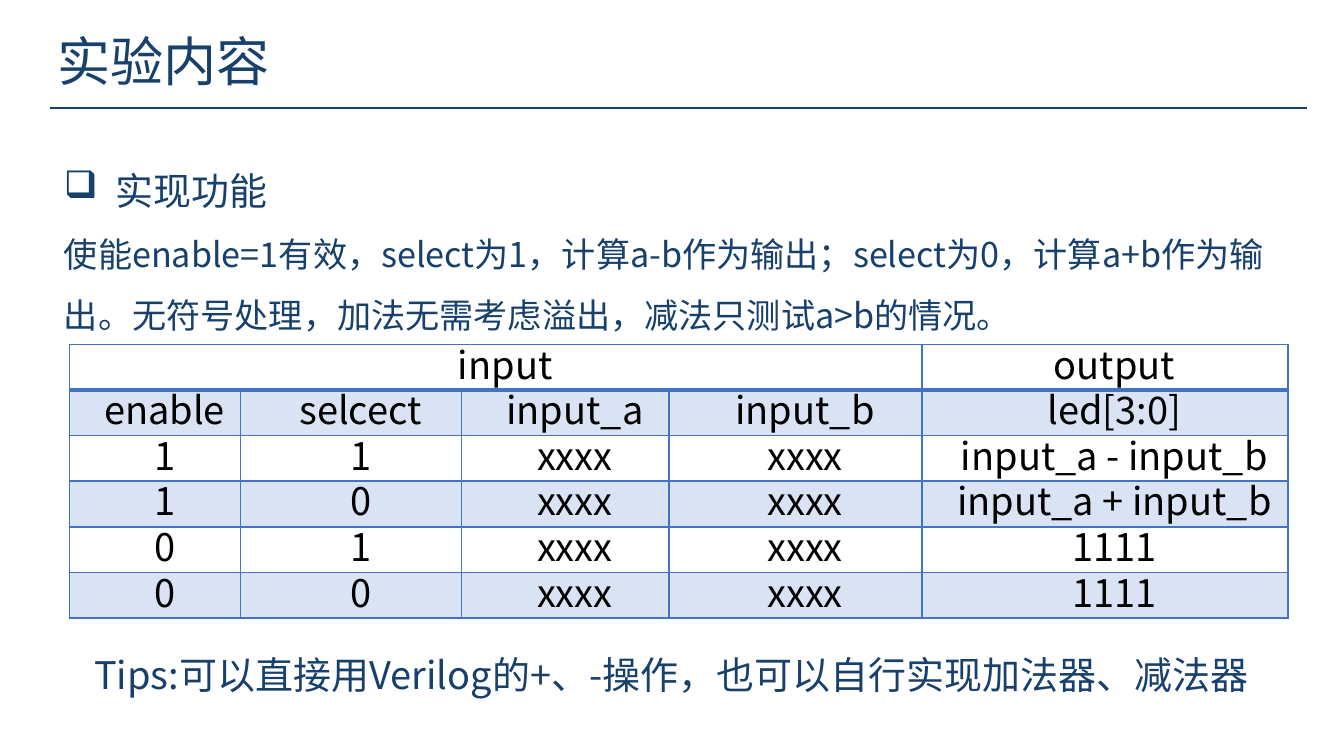
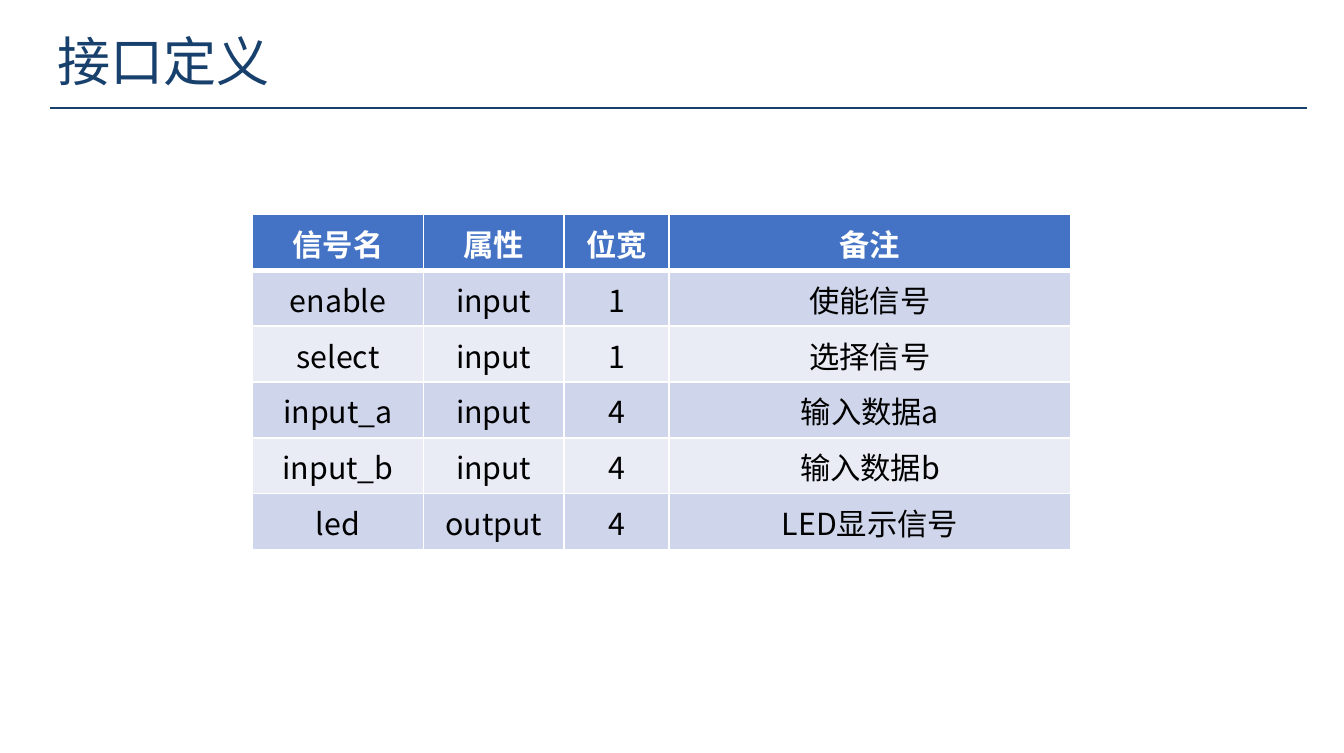
"""Build two slides on a Verilog adder-subtractor exercise: function and interface."""
from dataclasses import dataclass

from lxml.etree import SubElement
from pptx import Presentation
from pptx.dml.color import RGBColor
from pptx.enum.shapes import MSO_CONNECTOR
from pptx.enum.text import MSO_ANCHOR, PP_ALIGN
from pptx.oxml.ns import qn
from pptx.util import Inches, Pt


@dataclass(frozen=True)
class Theme:
    font: str = "Noto Sans CJK SC"
    navy: str = "17406D"
    blue: str = "4472C4"
    pale_blue: str = "DAE3F3"
    band_dark: str = "CFD5EA"
    band_light: str = "E9EBF5"
    white: str = "FFFFFF"
    black: str = "000000"
    title_size: int = 28
    heading_size: int = 20
    body_size: int = 18
    interface_size: int = 16


THEME = Theme()
SLIDE_SIZE = (9.84, 5.51)
TITLE_BOX = (0.32, 0.16, 2.32, 0.57)
RULE = (0.37, 0.79, 9.57, 0.79)

FUNCTION_TITLE = "实验内容"
FUNCTION_HEADING = "实现功能"
FUNCTION_TEXT = (
    "使能enable=1有效，select为1，计算a-b作为输出；select为0，计算a+b作为输出。"
    "无符号处理，加法无需考虑溢出，减法只测试a>b的情况。"
)
TIPS = "Tips:可以直接用Verilog的+、-操作，也可以自行实现加法器、减法器"
TRUTH_ROWS = [
    ("input", "", "", "", "output"),
    ("enable", "selcect", "input_a", "input_b", "led[3:0]"),
    ("1", "1", "xxxx", "xxxx", "input_a - input_b"),
    ("1", "0", "xxxx", "xxxx", "input_a + input_b"),
    ("0", "1", "xxxx", "xxxx", "1111"),
    ("0", "0", "xxxx", "xxxx", "1111"),
]
TRUTH_STYLE = dict(
    size=THEME.heading_size, border=THEME.blue, header_weight=2,
    header_fill=None, header_color=THEME.black, bands=(THEME.pale_blue, None),
    margins=(0.07, 0), indent=0.14, line_spacing=Pt(24),
)

INTERFACE_TITLE = "接口定义"
INTERFACE_ROWS = [
    ("信号名", "属性", "位宽", "备注"),
    ("enable", "input", "1", "使能信号"),
    ("select", "input", "1", "选择信号"),
    ("input_a", "input", "4", "输入数据a"),
    ("input_b", "input", "4", "输入数据b"),
    ("led", "output", "4", "LED显示信号"),
]
INTERFACE_STYLE = dict(
    size=THEME.interface_size, border=THEME.white, header_weight=3,
    header_fill=THEME.blue, header_color=THEME.white, header_bold=True,
    bands=(THEME.band_dark, THEME.band_light),
)


def style_paragraph(paragraph, size, color=THEME.navy, bold=False, spacing=None):
    font = paragraph.font
    font.name, font.size, font.bold = THEME.font, Pt(size), bold
    font.color.rgb = RGBColor.from_string(color)
    properties = paragraph._p.get_or_add_pPr()
    SubElement(properties.find(qn("a:defRPr")), qn("a:ea"), typeface=THEME.font)
    if spacing:
        paragraph.line_spacing = spacing


def add_text(slide, box, lines):
    shape = slide.shapes.add_textbox(*map(Inches, box))
    frame = shape.text_frame
    frame.word_wrap = True
    frame.text = "\n".join(text for text, _, _ in lines)
    for paragraph, (_, size, spacing) in zip(frame.paragraphs, lines):
        style_paragraph(paragraph, size, spacing=spacing)
    return frame


def add_bullet(paragraph, character, indent):
    properties = paragraph._p.get_or_add_pPr()
    properties.set("marL", str(Inches(indent)))
    properties.set("indent", str(-Inches(indent)))
    bullet = SubElement(properties, qn("a:buChar"), char=character)
    properties.find(qn("a:defRPr")).addprevious(bullet)


def add_titled_slide(presentation, title):
    slide = presentation.slides.add_slide(presentation.slide_layouts[6])
    rule = slide.shapes.add_connector(MSO_CONNECTOR.STRAIGHT, *map(Inches, RULE))
    rule.line.color.rgb = RGBColor.from_string(THEME.navy)
    rule.line.width = Pt(1)
    SubElement(rule._element.spPr, qn("a:effectLst"))
    add_text(slide, TITLE_BOX, [(title, THEME.title_size, None)])
    return slide


def set_borders(cell, color, top, bottom):
    properties = cell._tc.get_or_add_tcPr()
    for side, weight in (("L", 1), ("R", 1), ("T", top), ("B", bottom)):
        line = SubElement(properties, qn(f"a:ln{side}"), w=str(Pt(weight)))
        SubElement(SubElement(line, qn("a:solidFill")), qn("a:srgbClr"), val=color)


def fill_cell(cell, color):
    if color:
        cell.fill.solid()
        cell.fill.fore_color.rgb = RGBColor.from_string(color)
    else:
        cell.fill.background()


def add_grid(slide, left, top, height, columns, rows, size, border, header_weight,
             header_fill, header_color, bands, header_bold=False,
             margins=(0.1, 0.05), indent=0, line_spacing=None):
    box = map(Inches, (left, top, sum(columns), height))
    table = slide.shapes.add_table(len(rows), len(columns), *box).table
    table.first_row = table.horz_banding = False
    for column, width in zip(table.columns, columns):
        column.width = Inches(width)
    for row_index, texts in enumerate(rows):
        header = row_index == 0
        table.rows[row_index].height = Inches(height / len(rows))
        for column_index, text in enumerate(texts):
            cell = table.cell(row_index, column_index)
            cell.text = text
            cell.vertical_anchor = MSO_ANCHOR.MIDDLE
            cell.margin_left = cell.margin_right = Inches(margins[0])
            cell.margin_top = cell.margin_bottom = Inches(margins[1])
            paragraph = cell.text_frame.paragraphs[0]
            paragraph.alignment = PP_ALIGN.CENTER
            style_paragraph(paragraph, size, header_color if header else THEME.black,
                            header and header_bold, line_spacing)
            paragraph._p.get_or_add_pPr().set("indent", str(Inches(indent)))
            set_borders(cell, border, header_weight if row_index == 1 else 1,
                        header_weight if header else 1)
            fill_cell(cell, header_fill if header else bands[(row_index - 1) % 2])
    return table


def build_function_slide(presentation):
    slide = add_titled_slide(presentation, FUNCTION_TITLE)
    table = add_grid(slide, 0.51, 2.52, 2, (1.25, 1.62, 1.52, 1.85, 2.68),
                     TRUTH_ROWS, **TRUTH_STYLE)
    table.cell(0, 0).merge(table.cell(0, 3))
    add_text(slide, (0.59, 4.65, 9.25, 0.45), [(TIPS, THEME.heading_size, 1.2)])
    body = add_text(slide, (0.37, 0.84, 9.19, 1.68), [
        (FUNCTION_HEADING, THEME.heading_size, 2.0),
        (FUNCTION_TEXT, THEME.body_size, 1.5),
    ])
    add_bullet(body.paragraphs[0], "❑", 0.38)


def build_interface_slide(presentation):
    slide = add_titled_slide(presentation, INTERFACE_TITLE)
    add_grid(slide, 1.85, 1.57, 2.45, (1.25, 1.03, 0.77, 2.94),
             INTERFACE_ROWS, **INTERFACE_STYLE)


def main():
    presentation = Presentation()
    presentation.slide_width, presentation.slide_height = map(Inches, SLIDE_SIZE)
    build_function_slide(presentation)
    build_interface_slide(presentation)
    presentation.save("out.pptx")


if __name__ == "__main__":
    main()
